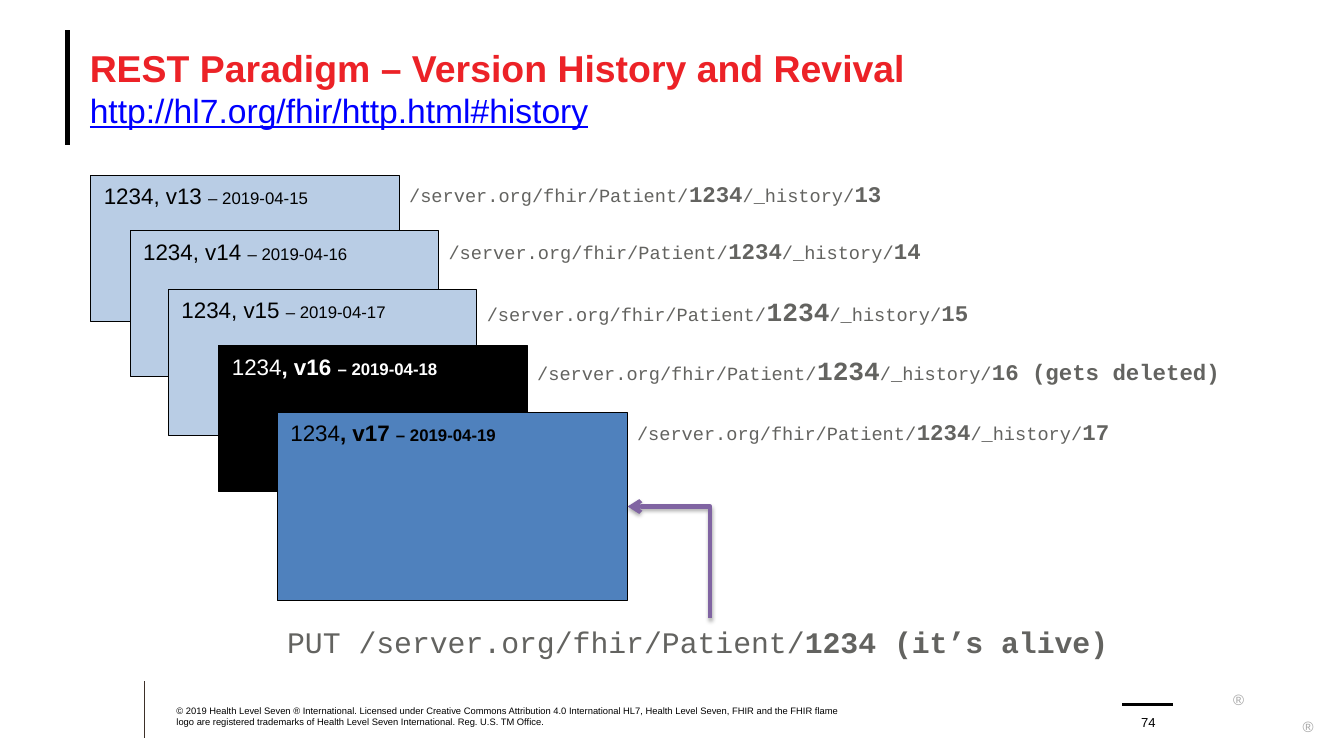
from dataclasses import dataclass

from lxml.etree import SubElement
from pptx import Presentation
from pptx.dml.color import RGBColor
from pptx.enum.shapes import MSO_CONNECTOR, MSO_SHAPE
from pptx.enum.text import MSO_ANCHOR, MSO_AUTO_SIZE, PP_ALIGN
from pptx.oxml.ns import qn
from pptx.util import Emu, Pt

COLORS = {
    "title": "EC2227", "link": "0000FF", "text": "000000", "white": "FFFFFF",
    "url": "636360", "mark": "A6A6A6", "rule": "3D3029", "arrow": "8064A2",
    "old": "B9CDE5", "deleted": "000000", "revived": "4F81BD",
}
COPYRIGHT = (
    "© 2019 Health Level Seven ® International. Licensed under Creative Commons "
    "Attribution 4.0 International HL7, Health Level Seven, FHIR and the FHIR flame "
    "logo are registered trademarks of Health Level Seven International. "
    "Reg. U.S. TM Office."
)


@dataclass(frozen=True)
class Run:
    text: str
    size: float
    bold: bool = False


@dataclass(frozen=True)
class Version:
    number: int
    left: int
    top: int
    label_top: int
    label_width: int
    id_size: float = 16
    width: int = 306
    height: int = 145
    fill: str = "old"
    color: str = "text"
    bold: bool = False
    note: str = ""


@dataclass(frozen=True)
class Rule:
    x1: int
    y1: int
    x2: int
    y2: int
    color: str
    weight: float


VERSIONS = [
    Version(13, 90, 174, 174, 718),
    Version(14, 129, 229, 230, 738),
    Version(15, 167, 287, 288, 733, 18.7),
    Version(16, 217, 343, 347, 733, 18.7, fill="deleted", color="white", bold=True,
            note=" (gets deleted)"),
    Version(17, 275, 409, 410, 660, width=347, height=187, fill="revived", bold=True),
]
RULES = [
    Rule(143, 676, 143, 732, "rule", 0.5),
    Rule(67, 30, 67, 144, "text", 3.25),
    Rule(1113, 699, 1163, 699, "text", 2),
]


def px(n: int) -> Emu:
    """Convert hundredths of an inch to EMU."""
    return Emu(n * 9144)


def rgb(name: str) -> RGBColor:
    return RGBColor.from_string(COLORS[name])


def set_insets(tf, x: int, y: int) -> None:
    tf.margin_left = tf.margin_right = px(x)
    tf.margin_top = tf.margin_bottom = px(y)


def write(tf, runs: list[Run], font: str, color: str, align=PP_ALIGN.LEFT) -> None:
    p = tf.paragraphs[0]
    p.alignment = align
    p.font.name = font
    p.font.color.rgb = rgb(color)
    for run in runs:
        r = p.add_run()
        r.text = run.text
        r.font.size = Pt(run.size)
        r.font.bold = run.bold


def add_text(slide, left: int, top: int, width: int, height: int, runs: list[Run],
             font: str = "Courier New", color: str = "url", align=PP_ALIGN.LEFT):
    tf = slide.shapes.add_textbox(px(left), px(top), px(width), px(height)).text_frame
    tf.word_wrap = True
    write(tf, runs, font, color, align)
    return tf


def add_line(slide, kind, rule: Rule):
    c = slide.shapes.add_connector(kind, px(rule.x1), px(rule.y1), px(rule.x2), px(rule.y2))
    c.line.color.rgb = rgb(rule.color)
    c.line.width = Pt(rule.weight)
    effects = SubElement(c._element.spPr, qn("a:effectLst"))
    return c, effects


def add_title(slide) -> None:
    sp = slide.shapes.title
    sp.left, sp.top, sp.width, sp.height = px(89), px(30), px(1200), px(114)
    tf = sp.text_frame
    tf.word_wrap = True
    tf.auto_size = MSO_AUTO_SIZE.NONE
    tf.vertical_anchor = MSO_ANCHOR.MIDDLE
    set_insets(tf, 0, 0)
    write(tf, [Run("REST Paradigm – Version History and Revival", 26.7, True)],
          "Arial", "title")
    p = tf.paragraphs[0]
    p.add_line_break()
    r = p.add_run()
    r.text = "http://hl7.org/fhir/http.html#history"
    r.font.size = Pt(24)
    r.font.bold = False
    r.font.underline = True
    r.font.color.rgb = rgb("link")


def add_version(slide, v: Version) -> None:
    sp = slide.shapes.add_shape(MSO_SHAPE.RECTANGLE, px(v.left), px(v.top),
                                px(v.width), px(v.height))
    sp.shadow.inherit = False
    sp.fill.solid()
    sp.fill.fore_color.rgb = rgb(v.fill)
    sp.line.color.rgb = rgb("text")
    sp.line.width = Pt(0.75)
    tf = sp.text_frame
    tf.vertical_anchor = MSO_ANCHOR.TOP
    set_insets(tf, 13, 7)
    write(tf, [Run("1234", 16), Run(f", v{v.number} ", 16, v.bold),
               Run(f"– 2019-04-{v.number + 2}", 12, v.bold)], "Arial", v.color)
    label = add_text(slide, v.left + v.width, v.label_top, v.label_width, 37, [
        Run("/server.org/fhir/Patient/", 13.3), Run("1234", v.id_size, True),
        Run("/_history/", 13.3), Run(f"{v.number}{v.note}", 16, True)])
    label.auto_size = MSO_AUTO_SIZE.SHAPE_TO_FIT_TEXT


def add_revival_arrow(slide) -> None:
    # One-bend elbow, turned so that it runs up and then left
    c, effects = add_line(slide, MSO_CONNECTOR.ELBOW, Rule(608, 599, 719, 517, "arrow", 3))
    sp_pr = c._element.spPr
    sp_pr.find(qn("a:xfrm")).set("rot", str(270 * 60000))
    sp_pr.find(qn("a:prstGeom")).set("prst", "bentConnector2")
    SubElement(sp_pr.find(qn("a:ln")), qn("a:tailEnd"), type="arrow")
    shadow = SubElement(effects, qn("a:outerShdw"), blurRad=str(Pt(3.1)),
                        dist=str(Pt(1.8)), dir=str(90 * 60000), rotWithShape="0")
    black = SubElement(shadow, qn("a:srgbClr"), val=COLORS["text"])
    SubElement(black, qn("a:alpha"), val="35000")


def add_footer(slide) -> None:
    for left, top in ((1221, 680), (1290, 707)):
        tf = add_text(slide, left, top, 15, 28, [Run("®", 10.7)], "Arial", "mark")
        tf.word_wrap = False
        set_insets(tf, 2, 5)
    page = add_text(slide, 1119, 699, 40, 25, [Run("74", 9.3)], "Arial", "text",
                    PP_ALIGN.CENTER)
    notice = add_text(slide, 175, 699, 661, 23, [Run(COPYRIGHT, 6.7)], "Arial", "text")
    for tf in (page, notice):
        tf.vertical_anchor = MSO_ANCHOR.BOTTOM
        set_insets(tf, 0, 0)


def main() -> None:
    prs = Presentation()
    prs.slide_width, prs.slide_height = px(1333), px(750)
    slide = prs.slides.add_slide(prs.slide_layouts[5])

    # Frame
    for rule in RULES:
        add_line(slide, MSO_CONNECTOR.STRAIGHT, rule)
    add_title(slide)
    add_footer(slide)

    # Version stack
    for version in VERSIONS:
        add_version(slide, version)

    # Revival request
    put = add_text(slide, 275, 614, 857, 46, [
        Run("PUT /server.org/fhir/Patient/", 21.3), Run("1234 (it’s alive)", 21.3, True)])
    put.auto_size = MSO_AUTO_SIZE.SHAPE_TO_FIT_TEXT
    add_revival_arrow(slide)

    prs.save("out.pptx")


if __name__ == "__main__":
    main()
